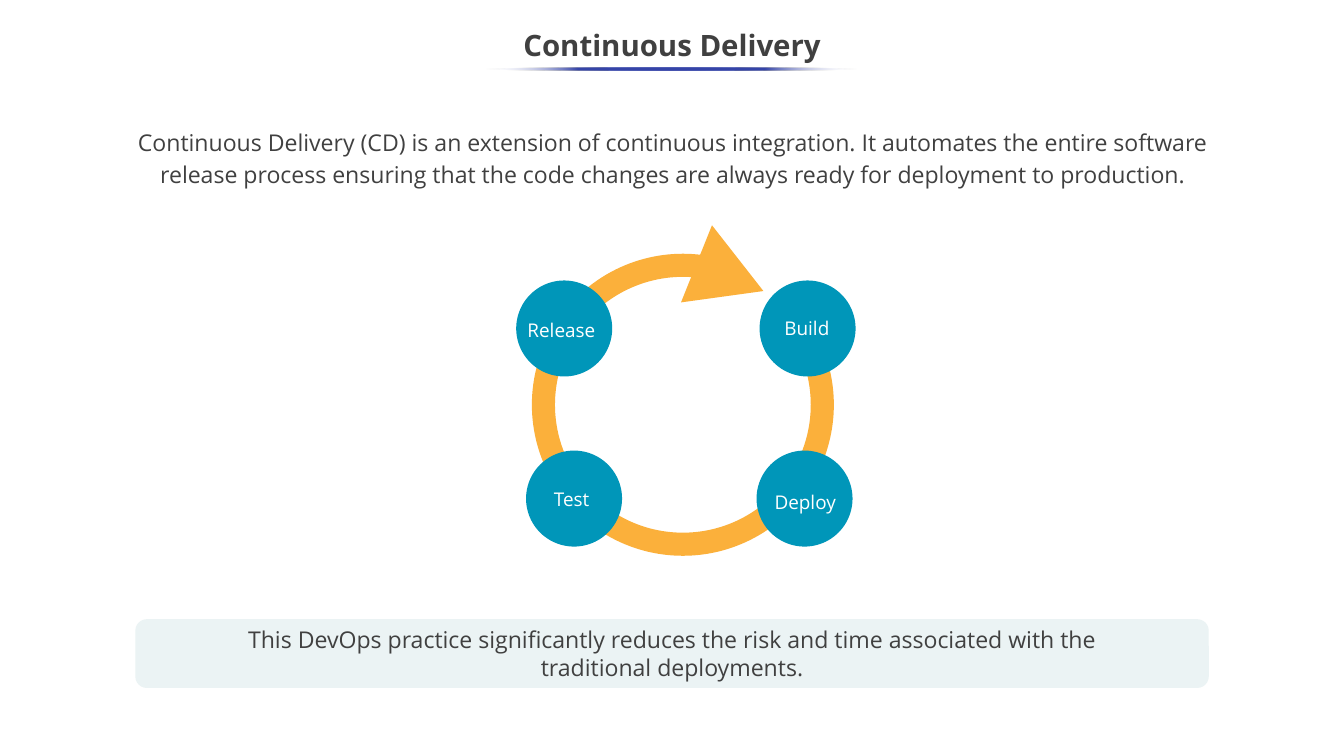
from lxml import etree
from pptx import Presentation
from pptx.dml.color import RGBColor
from pptx.enum.shapes import MSO_SHAPE
from pptx.enum.text import MSO_ANCHOR, PP_ALIGN
from pptx.oxml.ns import qn
from pptx.util import Inches, Pt

ARC, OVAL, ROUND = MSO_SHAPE.ARC, MSO_SHAPE.OVAL, MSO_SHAPE.ROUNDED_RECTANGLE
LEFT, CENTER = PP_ALIGN.LEFT, PP_ALIGN.CENTER
TOP, MIDDLE = MSO_ANCHOR.TOP, MSO_ANCHOR.MIDDLE

FONT = "Open Sans"
INK, WHITE, BLUE = "404040", "FFFFFF", "3645A9"
TEAL, AMBER, PALE = "0096B9", "FBB03B", "EBF3F4"

# Stage, circle corner in % of the wheel, label box in % of the circle
STAGES = [
    ("Release", (0, 17.18), (3.94, 36.22, 88, 31.5)),
    ("Build", (71.71, 17.18), (18.11, 33.86, 95, 31.5)),
    ("Test", (2.9, 70.12), (21.26, 34.65, 56, 31.5)),
    ("Deploy", (70.82, 70.12), (11.02, 37.8, 101, 31.5)),
]
DISC = (28.29, 29.88)
HEAD = [(72.83, 20.47), (48.55, 24), (57.68, 0)]


def color(code):
    return RGBColor.from_string(code)


def point(box, x, y):
    """Turn percentages of a box into slide coordinates."""
    left, top, wide, high = box
    return int(left + wide * x / 100), int(top + high * y / 100)


def part(box, x, y, wide, high):
    """Return the box that covers the given percentages of another box."""
    return (*point(box, x, y), int(box[2] * wide / 100), int(box[3] * high / 100))


def paint(shape, fill):
    shape.shadow.inherit = False
    shape.fill.solid()
    shape.fill.fore_color.rgb = color(fill)
    shape.line.fill.background()


def write(shape, text, size, ink=INK, align=CENTER, anchor=MIDDLE,
          bold=False, gap=None, pad=0.05):
    frame = shape.text_frame
    frame.text = text
    frame.word_wrap = True
    frame.vertical_anchor = anchor
    frame.margin_left = frame.margin_right = Inches(0.1)
    frame.margin_top = frame.margin_bottom = Inches(pad)
    for para in frame.paragraphs:
        para.alignment = align
        para.line_spacing = gap
        for run in para.runs:
            font = run.font
            font.name, font.size, font.bold = FONT, Pt(size), bold
            font.color.rgb = color(ink)


def fade(shape):
    """Fill with blue that fades to clear white at both ends."""
    props = shape.fill._xPr
    shape.fill.background()
    grad = etree.Element(qn("a:gradFill"), rotWithShape="1")
    stops = etree.SubElement(grad, qn("a:gsLst"))
    for pos, code in zip(range(0, 101, 25), (WHITE, BLUE, BLUE, BLUE, WHITE)):
        stop = etree.SubElement(stops, qn("a:gs"), pos=str(pos * 1000))
        tint = etree.SubElement(stop, qn("a:srgbClr"), val=code)
        if code == WHITE:
            etree.SubElement(tint, qn("a:alpha"), val="0")
    etree.SubElement(grad, qn("a:lin"), ang="10800000", scaled="0")
    props.replace(props.find(qn("a:noFill")), grad)


def header(slide, box):
    title = slide.shapes.title
    title.left, title.top, title.width, title.height = box
    write(title, "Continuous Delivery", 28, bold=True, gap=0.9)
    rule = slide.shapes.add_shape(OVAL, *part(box, 36.17, 85.33, 27.64, 5.33))
    paint(rule, BLUE)
    fade(rule)


def intro(slide, box):
    text = ("Continuous Delivery (CD) is an extension of continuous integration. "
            "It automates the entire software release process ensuring that the "
            "code changes are always ready for deployment to production.")
    write(slide.shapes.add_textbox(*box), text, 22, anchor=TOP, gap=1.15, pad=0)


def ring(slide, box):
    arc = slide.shapes.add_shape(ARC, *part(box, 8.02, 12.47, 82.18, 86.82))
    arc.shadow.inherit = False
    arc.fill.background()
    arc.line.color.rgb = color(AMBER)
    arc.line.width = Pt(22)
    for i, angle in enumerate((328.9, 281.1)):
        arc.adjustments[i] = angle * 0.6  # 60000 units a degree, scaled by 100000
    start, *rest = [point(box, x, y) for x, y in HEAD]
    path = slide.shapes.build_freeform(*start)
    path.add_line_segments(rest, close=True)
    paint(path.convert_to_shape(), AMBER)


def wheel(slide, box):
    ring(slide, box)
    for name, corner, label in STAGES:
        spot = part(box, *corner, *DISC)
        paint(slide.shapes.add_shape(OVAL, *spot), TEAL)
        text = slide.shapes.add_textbox(*part(spot, *label))
        write(text, name, 18, WHITE, LEFT, TOP)


def note(slide, box):
    panel = slide.shapes.add_shape(ROUND, *box)
    paint(panel, PALE)
    write(panel, "This DevOps practice significantly reduces the risk and time "
                 "associated with the\ntraditional deployments.", 22)


def main():
    deck = Presentation()
    deck.slide_width, deck.slide_height = Inches(17.78), Inches(10)
    slide = deck.slides.add_slide(deck.slide_layouts[5])
    page = (0, 0, deck.slide_width, deck.slide_height)
    header(slide, part(page, -0.06, 2.5, 100.11, 7.5))
    intro(slide, part(page, 7.93, 16.5, 84.25, 9.9))
    wheel(slide, part(page, 38.41, 29.8, 25.25, 42.5))
    note(slide, part(page, 10.07, 81.9, 79.87, 9.1))
    deck.save("out.pptx")


if __name__ == "__main__":
    main()
